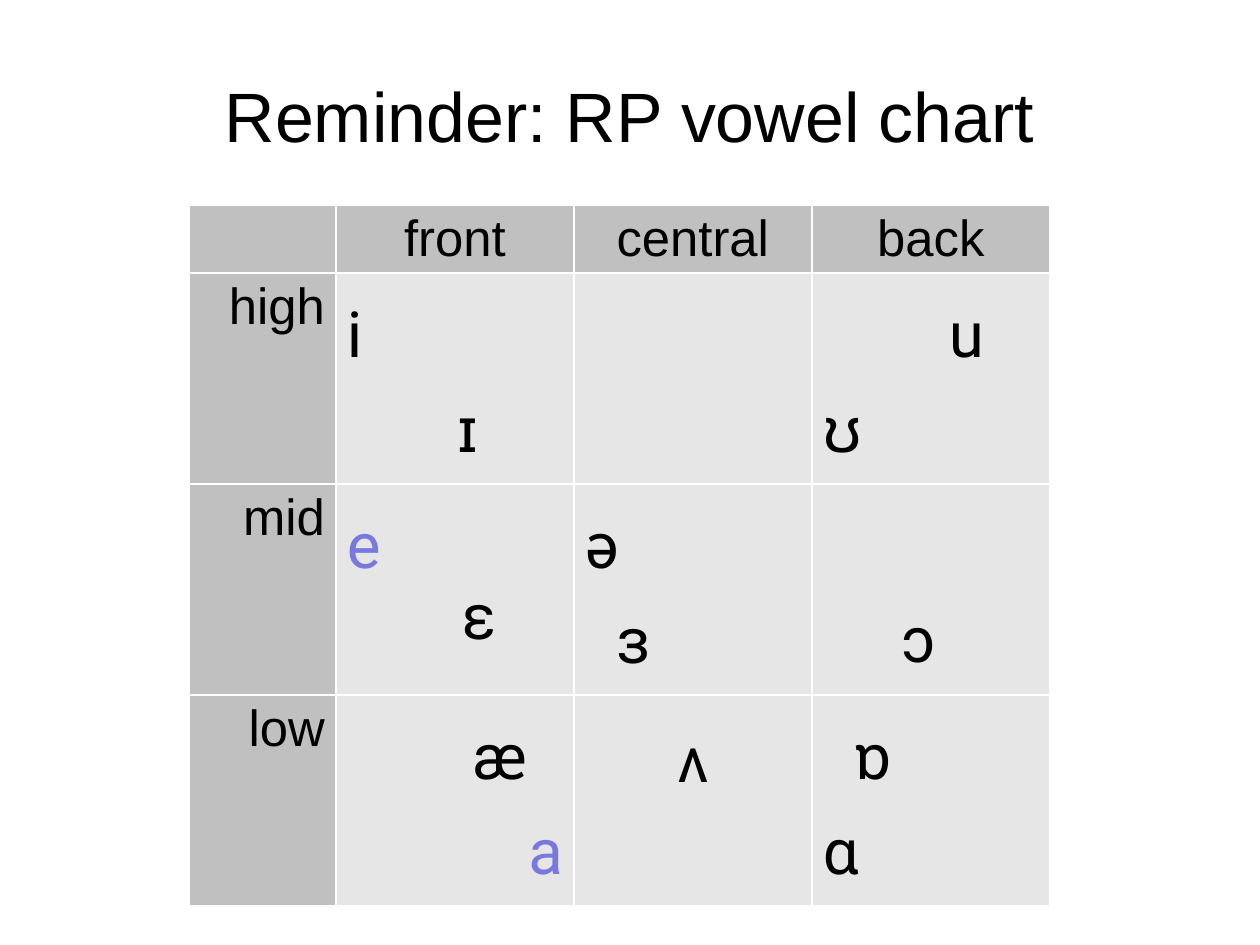
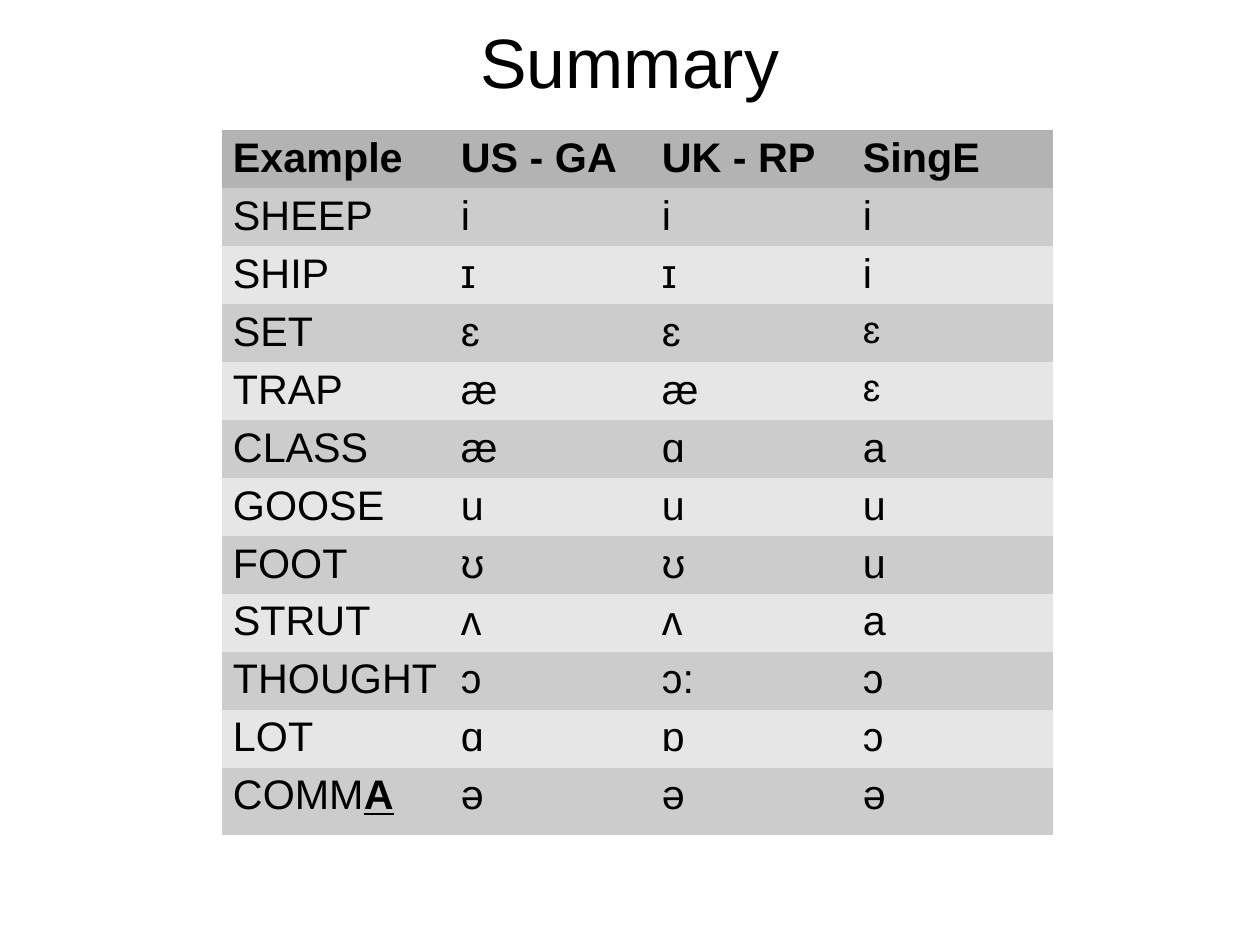
import pptx
import pptx.util
import pptx.dml.color
import pptx.enum.text
import pptx.oxml
import pptx.oxml.ns

RGB = pptx.dml.color.RGBColor
ALIGN = pptx.enum.text.PP_ALIGN
BLACK = RGB(0x00, 0x00, 0x00)
WHITE = RGB(0xFF, 0xFF, 0xFF)
VIOLET = RGB(0x78, 0x78, 0xDE)
HEAD = RGB(0xC0, 0xC0, 0xC0)
TOP = RGB(0xB3, 0xB3, 0xB3)
DARK = RGB(0xCC, 0xCC, 0xCC)
LIGHT = RGB(0xE6, 0xE6, 0xE6)
PX = 8000
PLAIN = "{2D5ABB26-0587-4C30-8999-92F81FD0307C}"

# Vowel chart: each vowel is (symbol, format), indents in px
COLS = ["front", "central", "back"]
ROWS = ["high", "mid", "low"]
VOWELS = [
    [[("i", {}), ("ɪ", {"indent": 110})],
     [],
     [("u", {"indent": 126}), ("ʊ", {})]],
    [[("e", {"color": VIOLET}), ("ɛ", {"indent": 115, "lead": 0.93})],
     [("ə", {}), ("ɜ", {"indent": 31})],
     [("ɔ", {"indent": 79})]],
    [[("æ", {"indent": 126}), ("a", {"color": VIOLET, "align": ALIGN.RIGHT})],
     [("ʌ", {"align": ALIGN.CENTER})],
     [("ɒ", {"indent": 31}), ("ɑ", {})]],
]
# Top margins that differ from the usual one
DROPS = {"ɔ": 100, "ʌ": 9}

# Summary: the part after a bar is bold and underlined
WORDS = [
    ("Example", "US - GA", "UK - RP", "SingE"),
    ("SHEEP", "i", "i", "i"),
    ("SHIP", "ɪ", "ɪ", "i"),
    ("SET", "ɛ", "ɛ", "ɛ"),
    ("TRAP", "æ", "æ", "ɛ"),
    ("CLASS", "æ", "ɑ", "a"),
    ("GOOSE", "u", "u", "u"),
    ("FOOT", "ʊ", "ʊ", "u"),
    ("STRUT", "ʌ", "ʌ", "a"),
    ("THOUGHT", "ɔ", "ɔ:", "ɔ"),
    ("LOT", "ɑ", "ɒ", "ɔ"),
    ("COMM|A", "ə", "ə", "ə"),
]


def put(frame, text, size=32, font="Arial", color=BLACK, bold=False,
        align=ALIGN.LEFT, lead=0.93, indent=0):
    """Write one paragraph, reusing the first one while it is empty."""
    para = frame.paragraphs[0]
    if para.runs:
        para = frame.add_paragraph()
    para.alignment = align
    para.line_spacing = lead
    if indent:
        para._p.get_or_add_pPr().set("marL", str(indent * PX))
    for i, part in enumerate(text.split("|")):
        run = para.add_run()
        run.text = part
        run.font.size = pptx.util.Pt(size)
        run.font.name = font
        run.font.color.rgb = color
        run.font.bold = bold or i > 0
        run.font.underline = i > 0


def start(deck, title, y):
    """Add a slide with its title at height y."""
    slide = deck.slides.add_slide(deck.slide_layouts[5])
    box = slide.shapes.title
    box.left, box.top, box.width, box.height = [
        v * PX for v in (63, y, 1134, 158)]
    frame = box.text_frame
    frame.auto_size = pptx.enum.text.MSO_AUTO_SIZE.NONE
    frame.vertical_anchor = pptx.enum.text.MSO_ANCHOR.MIDDLE
    frame.margin_left = frame.margin_right = frame.margin_bottom = 0
    frame.margin_top = 5 * PX
    put(frame, title, size=44, align=ALIGN.CENTER)
    return slide


def grid(slide, x, y, wides, highs):
    """Add an unstyled table from its column widths and row heights."""
    table = slide.shapes.add_table(
        len(highs), len(wides), x * PX, y * PX,
        sum(wides) * PX, sum(highs) * PX).table
    table.first_row = table.horz_banding = False
    table._tbl.tblPr.find(pptx.oxml.ns.qn("a:tableStyleId")).text = PLAIN
    for col, wide in zip(table.columns, wides):
        col.width = wide * PX
    for row, high in zip(table.rows, highs):
        row.height = high * PX
    return table


def dress(cell, fill, top=9, edge=None):
    """Set a cell's margins, borders and fill."""
    cell.margin_left = cell.margin_right = 11 * PX
    cell.margin_top, cell.margin_bottom = top * PX, 4 * PX
    if edge is not None:
        for side in "LRTB":
            cell._tc.get_or_add_tcPr().append(pptx.oxml.parse_xml(
                f'<a:ln{side} {pptx.oxml.ns.nsdecls("a")} w="12700">'
                f'<a:solidFill><a:srgbClr val="{edge}"/></a:solidFill>'
                f'</a:ln{side}>'))
    cell.fill.solid()
    cell.fill.fore_color.rgb = fill


def chart(deck):
    slide = start(deck, "Reminder: RP vowel chart", 38)
    table = grid(slide, 189, 205, [147] + [238] * 3, [68] + [211] * 3)
    # Headings
    dress(table.cell(0, 0), HEAD, edge=WHITE)
    for i, (col, row) in enumerate(zip(COLS, ROWS), 1):
        for cell, text, align in ((table.cell(0, i), col, ALIGN.CENTER),
                                  (table.cell(i, 0), row, ALIGN.RIGHT)):
            dress(cell, HEAD, edge=WHITE)
            put(cell.text_frame, text, align=align)
    # Vowels
    for r, row in enumerate(VOWELS, 1):
        for c, marks in enumerate(row, 1):
            cell = table.cell(r, c)
            first = marks[0][0] if marks else ""
            dress(cell, LIGHT, top=DROPS.get(first, 6), edge=WHITE)
            for text, form in marks:
                put(cell.text_frame, text,
                    **{"size": 40, "font": "Roboto", "lead": 1.27, **form})


def recap(deck):
    slide = start(deck, "Summary", -16)
    table = grid(slide, 222, 130, [228] + [201] * 3,
                 [58] * (len(WORDS) - 1) + [67])
    for r, row in enumerate(WORDS):
        fill = TOP if r == 0 else DARK if r % 2 else LIGHT
        for c, text in enumerate(row):
            small = c == 3 and text == "ɛ"
            cell = table.cell(r, c)
            dress(cell, fill, top=8)
            put(cell.text_frame, text, size=24 if small else 26, bold=r == 0)


def main():
    deck = pptx.Presentation()
    deck.slide_width, deck.slide_height = 1260 * PX, 945 * PX
    chart(deck)
    recap(deck)
    deck.save("out.pptx")


if __name__ == "__main__":
    main()
